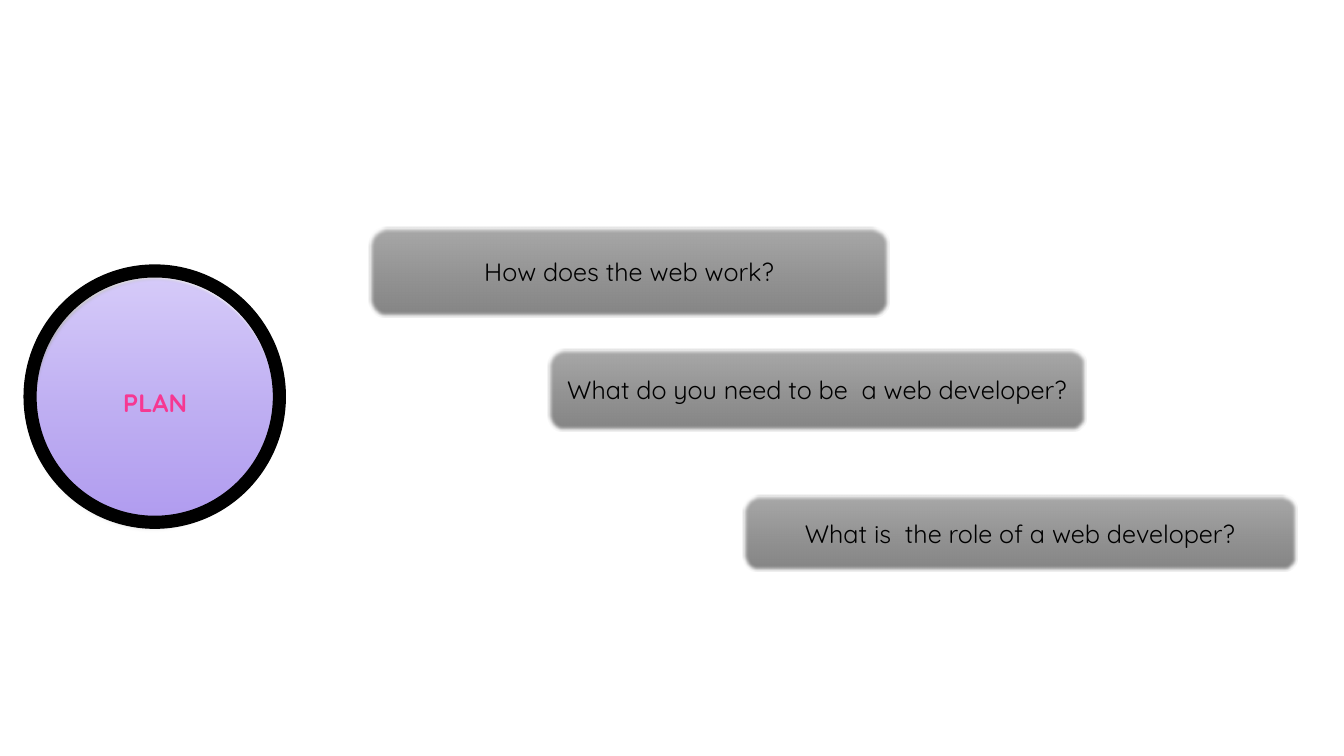
from copy import deepcopy
from dataclasses import dataclass

from lxml import etree
from pptx import Presentation
from pptx import util as u
from pptx.dml.color import RGBColor
from pptx.enum import shapes, text
from pptx.oxml import ns

FONT = "Quicksand"
BLACK = "000000"
GREYS = ("A9A9A9", "949494", "848484")
PURPLES = ("D6CBF9", "BFAFF2", "AF9AEF")
STOP_POSITIONS = (0, 0.52, 1)
SOFT_EDGE = u.Pt(2.5)


@dataclass(frozen=True)
class Box:
    """Place and size in centimetres."""
    left: float
    top: float
    width: float
    height: float


@dataclass(frozen=True)
class Question:
    wording: str
    box: Box


PLAN_DISC = Box(0.81, 6.96, 6.2, 6.35)
PLAN_RING = Box(0.61, 6.68, 6.58, 6.63)
QUESTIONS = (
    Question("How does the web work?", Box(9.3, 5.72, 13.11, 2.26)),
    Question("What do you need to be  a web developer?", Box(13.82, 8.79, 13.54, 2.06)),
    Question("What is  the role of a web developer?", Box(18.72, 12.47, 13.97, 1.93)),
)


def rgb(color: str) -> RGBColor:
    return RGBColor.from_string(color)


def add_outlined(slide, kind, box: Box, line: str, width: float):
    shape = slide.shapes.add_shape(
        kind, u.Cm(box.left), u.Cm(box.top), u.Cm(box.width), u.Cm(box.height))
    shape.shadow.inherit = False
    shape.line.color.rgb = rgb(line)
    shape.line.width = u.Pt(width)
    return shape


def fill_gradient(shape, colors: tuple[str, ...]) -> None:
    """Fill from top to bottom with three stops."""
    shape.fill.gradient()
    shape.fill.gradient_angle = 270
    stop_list = shape._element.spPr.find(".//" + ns.qn("a:gsLst"))
    stop_list.append(deepcopy(stop_list[0]))
    for stop, position, color in zip(shape.fill.gradient_stops, STOP_POSITIONS, colors):
        stop.position = position
        stop.color.rgb = rgb(color)


def add_shadow(shape) -> None:
    effects = shape._element.spPr.find(ns.qn("a:effectLst"))
    shadow = etree.SubElement(
        effects, ns.qn("a:outerShdw"), blurRad=str(u.Pt(4)), dist=str(u.Pt(3)),
        dir="10800000", rotWithShape="0")
    color = etree.SubElement(shadow, ns.qn("a:srgbClr"), val=BLACK)
    etree.SubElement(color, ns.qn("a:alpha"), val="40000")


def soften_edge(shape) -> None:
    effects = shape._element.spPr.find(ns.qn("a:effectLst"))
    etree.SubElement(effects, ns.qn("a:softEdge"), rad=str(SOFT_EDGE))


def write_label(shape, wording: str, color: str, bold: bool = False) -> None:
    frame = shape.text_frame
    frame.text = wording
    frame.word_wrap = True
    frame.vertical_anchor = text.MSO_ANCHOR.MIDDLE
    paragraph = frame.paragraphs[0]
    paragraph.alignment = text.PP_ALIGN.CENTER
    font = paragraph.runs[0].font
    font.name = FONT
    font.size = u.Pt(18)
    font.bold = bold
    font.color.rgb = rgb(color)


def add_plan(slide) -> None:
    # Purple disc
    disc = add_outlined(slide, shapes.MSO_SHAPE.OVAL, PLAN_DISC, "8D65EA", 0.75)
    fill_gradient(disc, PURPLES)
    add_shadow(disc)
    soften_edge(disc)
    write_label(disc, "PLAN", "F63892", bold=True)

    # Black ring around it
    ring = add_outlined(slide, shapes.MSO_SHAPE.DONUT, PLAN_RING, BLACK, 1)
    ring.adjustments[0] = 0.045
    ring.fill.solid()
    ring.fill.fore_color.rgb = rgb(BLACK)


def add_question(slide, question: Question) -> None:
    bar = add_outlined(
        slide, shapes.MSO_SHAPE.ROUNDED_RECTANGLE, question.box, BLACK, 0.75)
    fill_gradient(bar, GREYS)
    soften_edge(bar)
    write_label(bar, question.wording, BLACK)


def main() -> None:
    presentation = Presentation()
    presentation.slide_width = u.Cm(33.87)
    presentation.slide_height = u.Cm(19.05)
    slide = presentation.slides.add_slide(presentation.slide_layouts[6])

    add_plan(slide)
    for question in QUESTIONS:
        add_question(slide, question)

    presentation.save("out.pptx")


if __name__ == "__main__":
    main()
